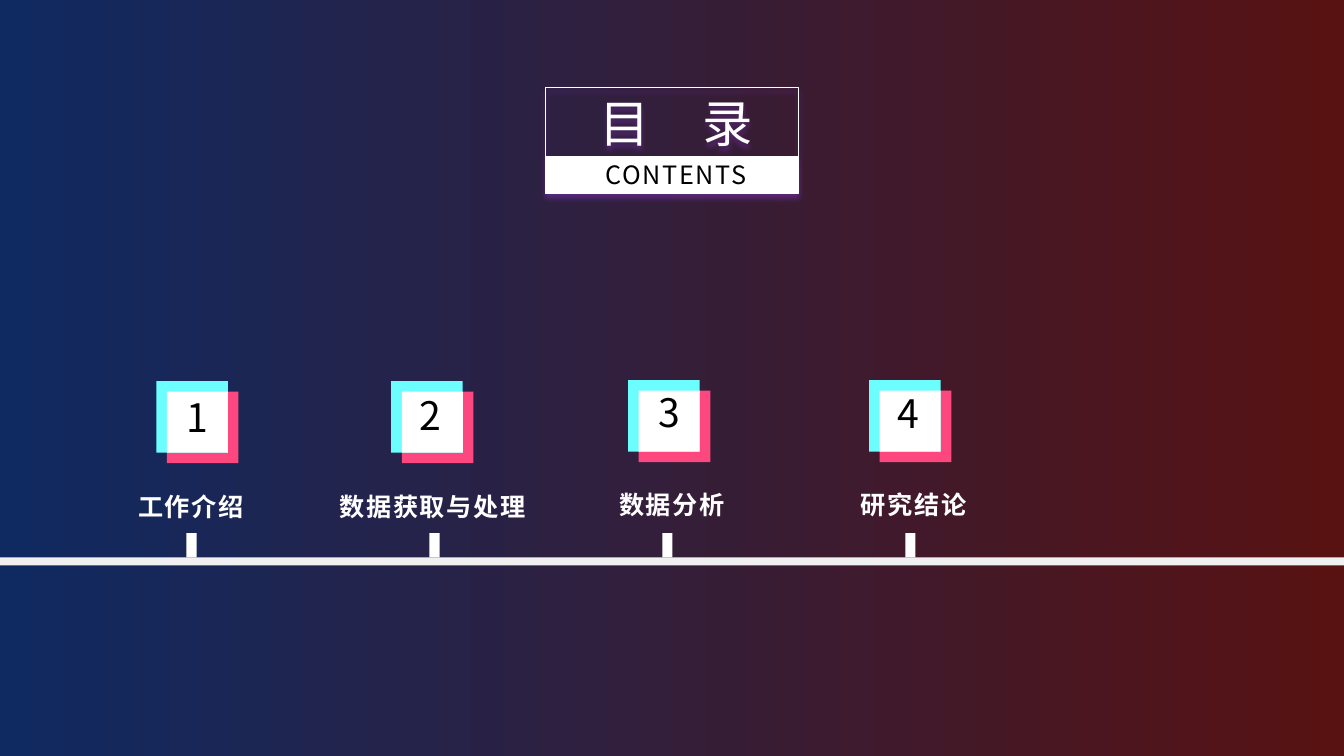
from pptx import Presentation
from pptx.dml.color import RGBColor
from pptx.enum.shapes import MSO_SHAPE
from pptx.enum.text import MSO_ANCHOR, MSO_AUTO_SIZE, PP_ALIGN
from pptx.oxml.ns import qn
from pptx.util import Inches, Pt
from lxml import etree

RECTANGLE = MSO_SHAPE.RECTANGLE
TOP, MIDDLE = MSO_ANCHOR.TOP, MSO_ANCHOR.MIDDLE
CENTER = PP_ALIGN.CENTER
GROW = MSO_AUTO_SIZE.SHAPE_TO_FIT_TEXT

# Content
TITLE = ("目 ", "录")
SUBTITLE = "CONTENTS"
# label, label box (left, top, width, height), line spacing,
# icon corner, number box corner
CHAPTERS = [
    ("工作介绍", (0.81, 4.75, 2.17, 0.46), 1.3, (1.55, 3.78), (1.48, 3.9)),
    ("数据获取与处理", (3.22, 4.75, 2.14, 0.46), 1.3, (3.88, 3.78), (3.79, 3.88)),
    ("数据分析", (5.7, 4.8, 1.93, 0.4), 1, (6.23, 3.77), (6.16, 3.85)),
    ("研究结论", (8.09, 4.8, 1.94, 0.4), 1, (8.62, 3.77), (8.53, 3.86)),
]
TICK_LEFTS = (1.85, 4.26, 6.57, 8.98)

THEME = {
    "font": "Noto Sans CJK SC",
    "title": 36, "number": 28, "body": 18,
    "spacing": 120, "title_gap": 1480,
    "white": "FFFFFF", "black": "000000", "bar": "F0F0F0",
    "pink": "FD487F", "cyan": "6CFEFE", "shadow": "7030A0",
    "background": ("0F2A61", "581212"),
}

# Sizes in inches
TITLE_LEFT, TITLE_TOP, TITLE_WIDTH = 5.41, 0.87, 2.51
TITLE_HEIGHT, SUBTITLE_HEIGHT = 0.68, 0.37
TILE, TILE_OFFSET = 0.71, 0.105
NUMBER_SIZE = (0.88, 0.68)
TICK_TOP, TICK_SIZE = 5.29, (0.1, 0.24)
BAR = (-0.15, 5.53, 13.74, 0.08)
HEADING_INSETS = (0.11, 0.04, 0.03, 0.04)
NUMBER_INSETS = (0.11, 0, 0.03, 0.04)
LABEL_INSETS = (0.1, 0.05, 0.1, 0.05)


def color(name):
    return RGBColor.from_string(THEME[name])


def add_rectangle(shapes, place, fill=None, outline=None):
    box = shapes.add_shape(RECTANGLE, *map(Inches, place))
    box.shadow.inherit = False
    if fill:
        box.fill.solid()
        box.fill.fore_color.rgb = color(fill)
    else:
        box.fill.background()
    if outline:
        box.line.color.rgb = color(outline)
        box.line.width = Pt(1)
    else:
        box.line.fill.background()
    return box


def add_glow(box):
    effects = box._element.spPr.find(qn("a:effectLst"))
    shadow = etree.SubElement(effects, qn("a:outerShdw"), blurRad=str(Pt(4)),
                              dist=str(Pt(3)), dir="5400000",
                              algn="t", rotWithShape="0")
    tint = etree.SubElement(shadow, qn("a:srgbClr"), val=THEME["shadow"])
    etree.SubElement(tint, qn("a:alpha"), val="61000")


def write(box, spans, size, tone, insets, anchor=MIDDLE, bold=False, leading=1):
    frame = box.text_frame
    frame.word_wrap = True
    frame.vertical_anchor = anchor
    (frame.margin_left, frame.margin_top,
     frame.margin_right, frame.margin_bottom) = map(Inches, insets)
    para = frame.paragraphs[0]
    para.alignment = CENTER
    if leading != 1:
        para.line_spacing = leading
    for text in spans:
        para.add_run().text = text
    para.font.size = Pt(THEME[size])
    para.font.bold = bold
    para.font.color.rgb = color(tone)
    para.font.name = THEME["font"]
    settings = para._p.pPr.find(qn("a:defRPr"))
    settings.set("spc", str(THEME["spacing"]))
    etree.SubElement(settings, qn("a:ea"), typeface=THEME["font"])
    for span in para.runs:
        span._r.get_or_add_rPr().set("spc", str(THEME["spacing"]))
    return para


def add_icon(page, left, top):
    icon = page.shapes.add_group_shape().shapes
    inner_left, inner_top = left + TILE_OFFSET, top + TILE_OFFSET
    overlap = TILE - TILE_OFFSET
    add_rectangle(icon, (inner_left, inner_top, TILE, TILE), "pink")
    add_rectangle(icon, (left, top, TILE, TILE), "cyan")
    add_rectangle(icon, (inner_left, inner_top, overlap, overlap), "white")


def main():
    deck = Presentation()
    deck.slide_width, deck.slide_height = Inches(13.33), Inches(7.5)
    page = deck.slides.add_slide(deck.slide_layouts[6])

    # Background
    backdrop = page.background.fill
    backdrop.gradient()
    backdrop.gradient_angle = 0
    for stop, tone in zip(backdrop.gradient_stops, THEME["background"]):
        stop.color.rgb = RGBColor.from_string(tone)

    # Heading
    title = add_rectangle(
        page.shapes, (TITLE_LEFT, TITLE_TOP, TITLE_WIDTH, TITLE_HEIGHT), None, "white")
    add_glow(title)
    para = write(title, TITLE, "title", "white", HEADING_INSETS)
    para.runs[0]._r.get_or_add_rPr().set("spc", str(THEME["title_gap"]))
    subtitle = add_rectangle(
        page.shapes, (TITLE_LEFT, TITLE_TOP + TITLE_HEIGHT, TITLE_WIDTH, SUBTITLE_HEIGHT),
        "white", "white")
    add_glow(subtitle)
    write(subtitle, [SUBTITLE], "body", "black", HEADING_INSETS)

    # Chapters
    for number, (name, place, leading, icon, corner) in enumerate(CHAPTERS, 1):
        add_icon(page, *icon)
        digit = page.shapes.add_textbox(*map(Inches, corner + NUMBER_SIZE))
        write(digit, [str(number)], "number", "black", NUMBER_INSETS, TOP)
        label = page.shapes.add_textbox(*map(Inches, place))
        write(label, [name], "body", "white", LABEL_INSETS, bold=True, leading=leading)
        label.text_frame.auto_size = GROW

    # Timeline
    add_rectangle(page.shapes, BAR, "bar")
    for left in TICK_LEFTS:
        add_rectangle(page.shapes, (left, TICK_TOP) + TICK_SIZE, "white")

    deck.save("out.pptx")


if __name__ == "__main__":
    main()
